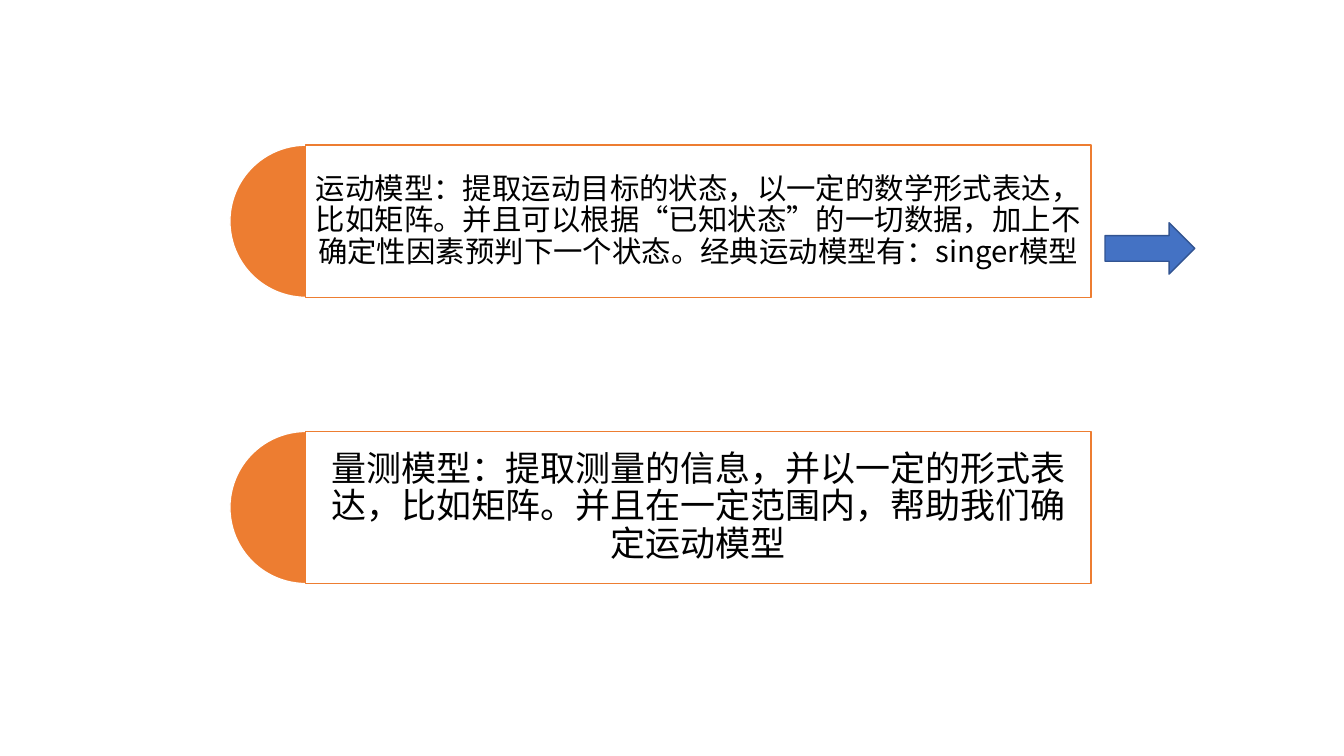
from pptx import Presentation, util as u
from pptx.dml.color import RGBColor
from pptx.enum import shapes, text
from pptx.oxml import ns
from lxml import etree

PX = 9144
FONT = "Noto Sans CJK SC"
WHITE = RGBColor(0xFF, 0xFF, 0xFF)
BLACK = RGBColor(0, 0, 0)
ORANGE = RGBColor(0xED, 0x7D, 0x31)
BLUE = RGBColor(0x44, 0x72, 0xC4)
NAVY = RGBColor(0x32, 0x54, 0x91)
KIND = shapes.MSO_SHAPE

MODELS = [
    ("运动模型：提取运动目标的状态，以一定的数学形式表达，比如矩阵。"
     "并且可以根据“已知状态”的一切数据，加上不确定性因素预判下一个状态。"
     "经典运动模型有：singer模型", 21, 9),
    ("量测模型：提取测量的信息，并以一定的形式表达，比如矩阵。"
     "并且在一定范围内，帮助我们确定运动模型", 25, 10),
]


def draw(parent, kind, box, fill, line):
    shape = parent.add_shape(kind, *(n * PX for n in box))
    shape.shadow.inherit = False
    shape.fill.solid()
    shape.fill.fore_color.rgb = fill
    shape.line.color.rgb = line
    shape.line.width = u.Pt(1)
    return shape


def write(shape, words, size, inset, color=BLACK):
    frame = shape.text_frame
    frame.word_wrap = True
    frame.vertical_anchor = text.MSO_ANCHOR.MIDDLE
    frame.margin_left = frame.margin_right = inset * PX
    frame.margin_top = frame.margin_bottom = inset * PX
    para = frame.paragraphs[0]
    para.alignment = text.PP_ALIGN.CENTER
    para.line_spacing = 0.9
    para.space_after = u.Pt(size * 0.35)
    run = para.add_run()
    run.text = words
    run.font.size = u.Pt(size)
    run.font.name = FONT
    run.font.color.rgb = color
    east = etree.SubElement(run.font._element, ns.qn("a:ea"))
    east.set("typeface", FONT)


def fade(shape, percent):
    color = shape.fill._xPr.find(ns.qn("a:solidFill"))[0]
    alpha = etree.SubElement(color, ns.qn("a:alpha"))
    alpha.set("val", str(percent * 1000))


def model(slide, box, words, size, inset):
    left, top, width, height = box
    group = slide.shapes.add_group_shape().shapes
    pie = draw(group, KIND.PIE, (left, top, height, height), ORANGE, WHITE)
    pie.adjustments[0] = 54
    pie.adjustments[1] = 162
    half = height // 2
    panel = draw(group, KIND.RECTANGLE,
                 (left + half, top, width - half, height), WHITE, ORANGE)
    fade(panel, 90)
    write(panel, words, size, inset)


def main():
    deck = Presentation()
    deck.slide_width = 1333 * PX
    deck.slide_height = 750 * PX
    slide = deck.slides.add_slide(deck.slide_layouts[6])
    for row, item in enumerate(MODELS):
        model(slide, (228, 144 + row * 284, 854, 151), *item)
    draw(slide.shapes, KIND.RIGHT_ARROW, (1096, 221, 89, 51), BLUE, NAVY)
    deck.save("out.pptx")


if __name__ == "__main__":
    main()
